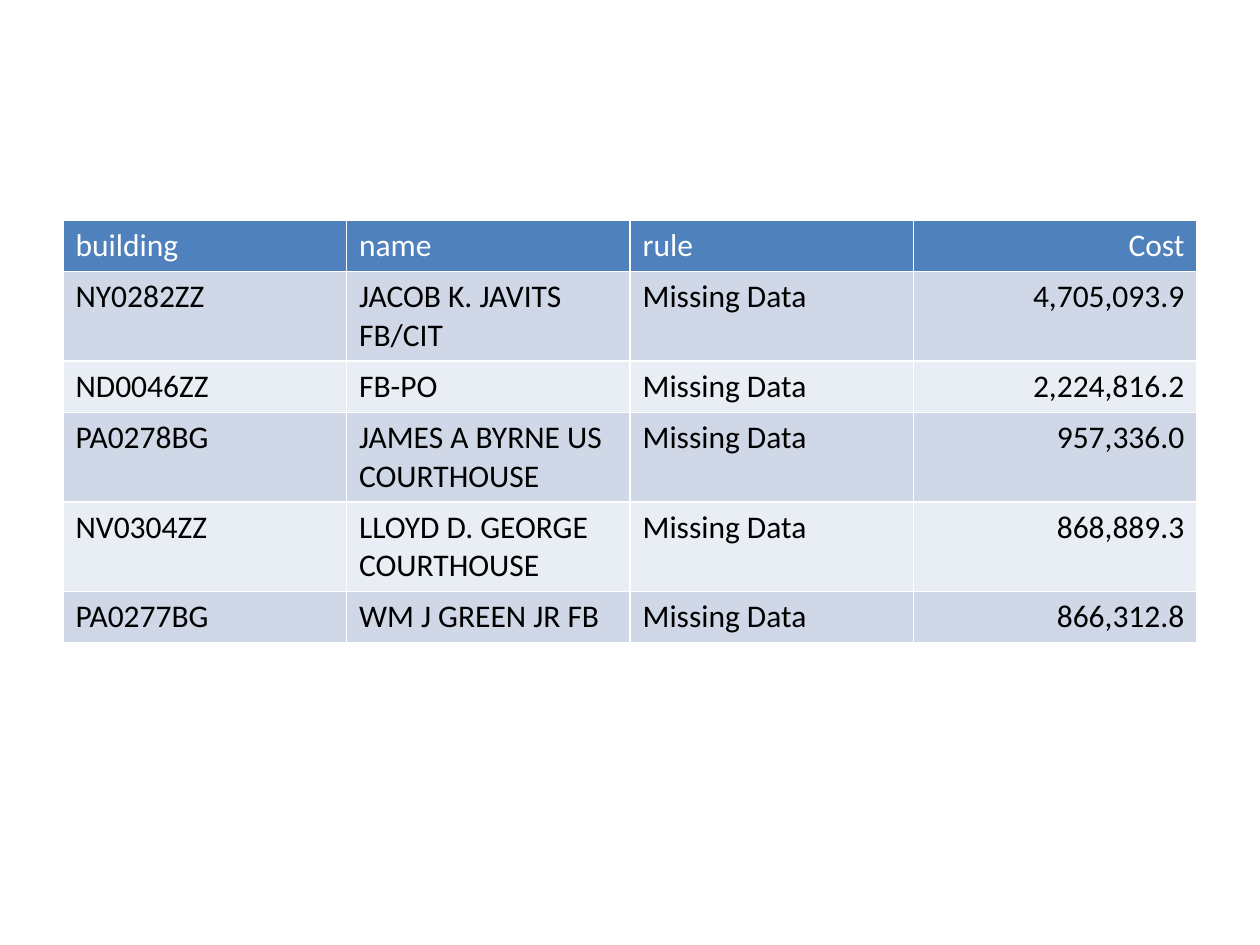
from dataclasses import dataclass

from lxml import etree
from pptx import Presentation
from pptx.dml.color import RGBColor
from pptx.enum.text import PP_ALIGN
from pptx.oxml.ns import qn
from pptx.util import Pt

LEFT = PP_ALIGN.LEFT
RIGHT = PP_ALIGN.RIGHT


@dataclass(frozen=True)
class Theme:
    font: str = "Calibri"
    size: int = 18
    header_text: str = "FFFFFF"
    body_text: str = "000000"
    header_fill: str = "4F81BD"
    band_fills: tuple = ("D0D8E8", "E9EDF4")
    border: str = "FFFFFF"
    border_width: int = 1


class SlideBuilder:
    def __init__(self, slide, theme):
        self.slide = slide
        self.theme = theme

    def table(self, left, top, column_width, row_heights, rows, alignments):
        frame = self.slide.shapes.add_table(
            len(rows), len(alignments), Pt(left), Pt(top),
            Pt(column_width * len(alignments)), Pt(sum(row_heights)))
        table = frame.table
        for column in table.columns:
            column.width = Pt(column_width)
        for row_index, (values, height) in enumerate(zip(rows, row_heights)):
            table.rows[row_index].height = Pt(height)
            if row_index == 0:
                fill, color = self.theme.header_fill, self.theme.header_text
            else:
                fill = self.theme.band_fills[(row_index - 1) % 2]
                color = self.theme.body_text
            for column_index, value in enumerate(values):
                cell = table.cell(row_index, column_index)
                self.cell(cell, value, fill, color, alignments[column_index])

    def cell(self, cell, text, fill, color, alignment):
        cell.text = text
        paragraph = cell.text_frame.paragraphs[0]
        paragraph.alignment = alignment
        font = paragraph.font
        font.name = self.theme.font
        font.size = Pt(self.theme.size)
        font.bold = False
        font.color.rgb = RGBColor.from_string(color)
        self.borders(cell)
        cell.fill.solid()
        cell.fill.fore_color.rgb = RGBColor.from_string(fill)

    def borders(self, cell):
        properties = cell._tc.get_or_add_tcPr()
        for side in ("a:lnL", "a:lnR", "a:lnT", "a:lnB"):
            line = etree.SubElement(properties, qn(side),
                                    w=str(Pt(self.theme.border_width)))
            solid = etree.SubElement(line, qn("a:solidFill"))
            etree.SubElement(solid, qn("a:srgbClr"), val=self.theme.border)


RULE = "Missing Data"
BUILDINGS = [
    ("NY0282ZZ", "JACOB K. JAVITS FB/CIT", "4,705,093.9"),
    ("ND0046ZZ", "FB-PO", "2,224,816.2"),
    ("PA0278BG", "JAMES A BYRNE US COURTHOUSE", "957,336.0"),
    ("NV0304ZZ", "LLOYD D. GEORGE COURTHOUSE", "868,889.3"),
    ("PA0277BG", "WM J GREEN JR FB", "866,312.8"),
]
ONE_LINE = 29.1
TWO_LINES = 51.2

presentation = Presentation()
presentation.slide_width = Pt(720)
presentation.slide_height = Pt(540)
slide = presentation.slides.add_slide(presentation.slide_layouts[6])

builder = SlideBuilder(slide, Theme())
builder.table(
    left=36, top=126, column_width=162,
    row_heights=[ONE_LINE, TWO_LINES, ONE_LINE, TWO_LINES, TWO_LINES, ONE_LINE],
    rows=[("building", "name", "rule", "Cost")]
    + [(building, name, RULE, cost) for building, name, cost in BUILDINGS],
    alignments=[LEFT, LEFT, LEFT, RIGHT])

presentation.save("out.pptx")
